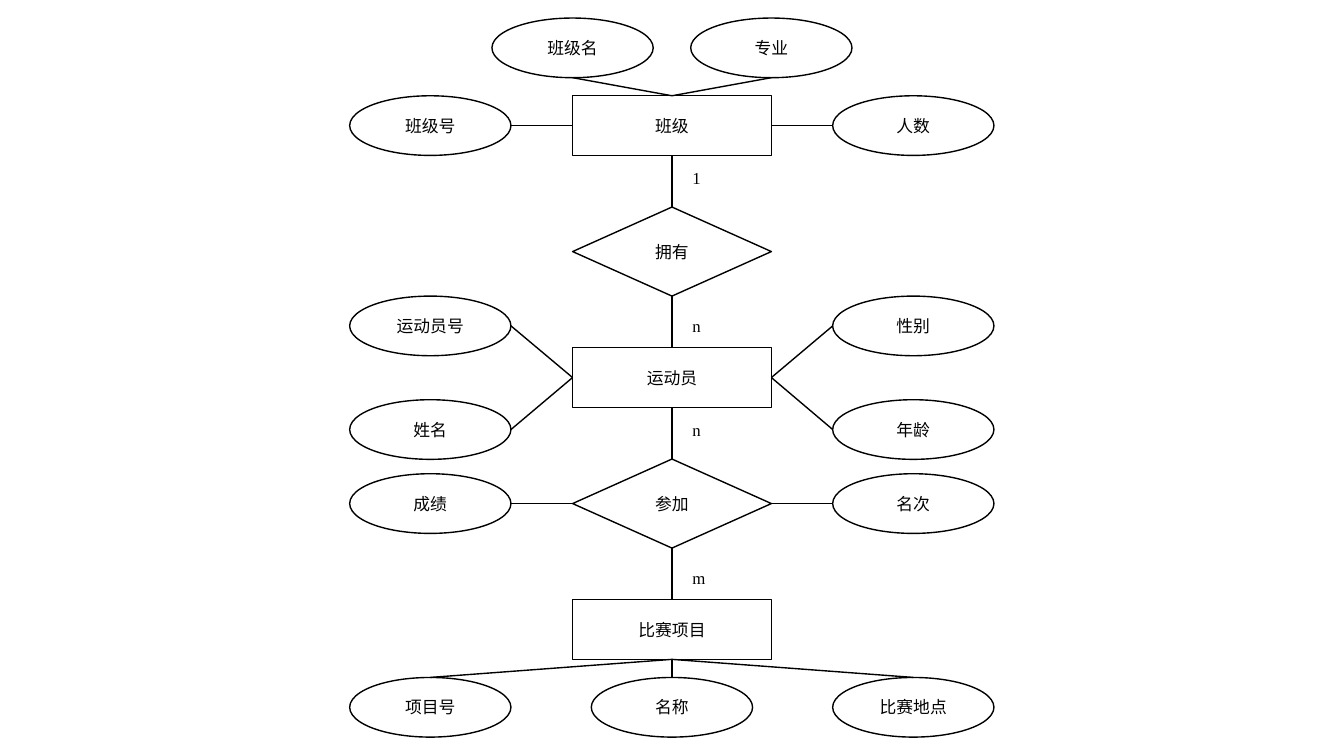
from lxml.etree import SubElement
from pptx import Presentation
from pptx.dml.color import RGBColor
from pptx.enum.shapes import MSO_CONNECTOR as Line, MSO_SHAPE as Kind
from pptx.enum.text import MSO_ANCHOR as Anchor, MSO_AUTO_SIZE as Fit, PP_ALIGN as Align
from pptx.oxml.ns import qn
from pptx.util import Pt

INK = RGBColor(0, 0, 0)
TOP, LEFT, BOTTOM, RIGHT = range(4)


def write(frame, text, font="Noto Sans CJK SC", size=12, color=INK, align=Align.CENTER):
    para = frame.paragraphs[0]
    para.alignment = align
    run = para.add_run()
    run.text = text
    run.font.name = font
    run.font.size = Pt(size)
    run.font.color.rgb = color
    SubElement(run.font._element, qn("a:ea"), typeface=font)


class Chart:
    sizes = {
        Kind.RECTANGLE: (142, 42.6),
        Kind.DIAMOND: (142, 63.6),
        Kind.OVAL: (115.2, 42.6),
    }

    def __init__(self, slide):
        self.group = slide.shapes.add_group_shape().shapes

    def stroke(self, line):
        line.width = Pt(1)
        line.color.rgb = INK

    def node(self, kind, text, x, y):
        wide, high = self.sizes[kind]
        box = self.group.add_shape(
            kind, Pt(x - wide / 2), Pt(y - high / 2), Pt(wide), Pt(high))
        box.shadow.inherit = False
        box.fill.background()
        self.stroke(box.line)
        frame = box.text_frame
        frame.margin_left = frame.margin_right = 0
        frame.vertical_anchor = Anchor.MIDDLE
        write(frame, text)
        return box

    def point(self, box, side):
        mid, half = box.left + box.width // 2, box.top + box.height // 2
        return {
            TOP: (mid, box.top),
            LEFT: (box.left, half),
            BOTTOM: (mid, box.top + box.height),
            RIGHT: (box.left + box.width, half),
        }[side]

    def link(self, start, side, end):
        back = (side + 2) % 4
        wire = self.group.add_connector(
            Line.STRAIGHT, *self.point(start, side), *self.point(end, back))
        wire.begin_connect(start, side)
        if end.auto_shape_type != Kind.OVAL:
            wire.end_connect(end, back)
        self.stroke(wire.line)
        SubElement(wire._element.spPr, qn("a:effectLst"))

    def label(self, text, x, y):
        box = self.group.add_textbox(Pt(x), Pt(y), Pt(21), Pt(21.6))
        box.text_frame.word_wrap = False
        box.text_frame.auto_size = Fit.SHAPE_TO_FIT_TEXT
        write(box.text_frame, text, font="Times New Roman", align=Align.LEFT)


def main():
    deck = Presentation()
    deck.slide_width, deck.slide_height = Pt(960), Pt(540)
    chart = Chart(deck.slides.add_slide(deck.slide_layouts[6]))

    mid, west, east = 480, 307.4, 652.4
    rows = [89.7 + 90 * i for i in range(5)]
    names = ["班级", "拥有", "运动员", "参加", "比赛项目"]
    kinds = [Kind.RECTANGLE, Kind.DIAMOND]
    spine = [chart.node(kinds[i % 2], name, mid, y)
             for i, (name, y) in enumerate(zip(names, rows))]
    for upper, lower in zip(spine, spine[1:]):
        chart.link(upper, BOTTOM, lower)

    group, _, player, entry, event = spine
    traits = [
        (group, TOP, "班级名", 409, 34.2),
        (group, TOP, "专业", 551, 34.2),
        (group, LEFT, "班级号", west, rows[0]),
        (group, RIGHT, "人数", east, rows[0]),
        (player, LEFT, "运动员号", west, 232.8),
        (player, LEFT, "姓名", west, 306.8),
        (player, RIGHT, "性别", east, 232.8),
        (player, RIGHT, "年龄", east, 306.8),
        (entry, LEFT, "成绩", west, rows[3]),
        (entry, RIGHT, "名次", east, rows[3]),
        (event, BOTTOM, "项目号", west, 505.2),
        (event, BOTTOM, "名称", mid, 505.2),
        (event, BOTTOM, "比赛地点", east, 505.2),
    ]
    for owner, side, text, x, y in traits:
        chart.link(owner, side, chart.node(Kind.OVAL, text, x, y))

    for text, y in [("1", 116), ("n", 222), ("n", 296), ("m", 402)]:
        chart.label(text, 487.4, y)

    deck.save("out.pptx")


if __name__ == "__main__":
    main()
